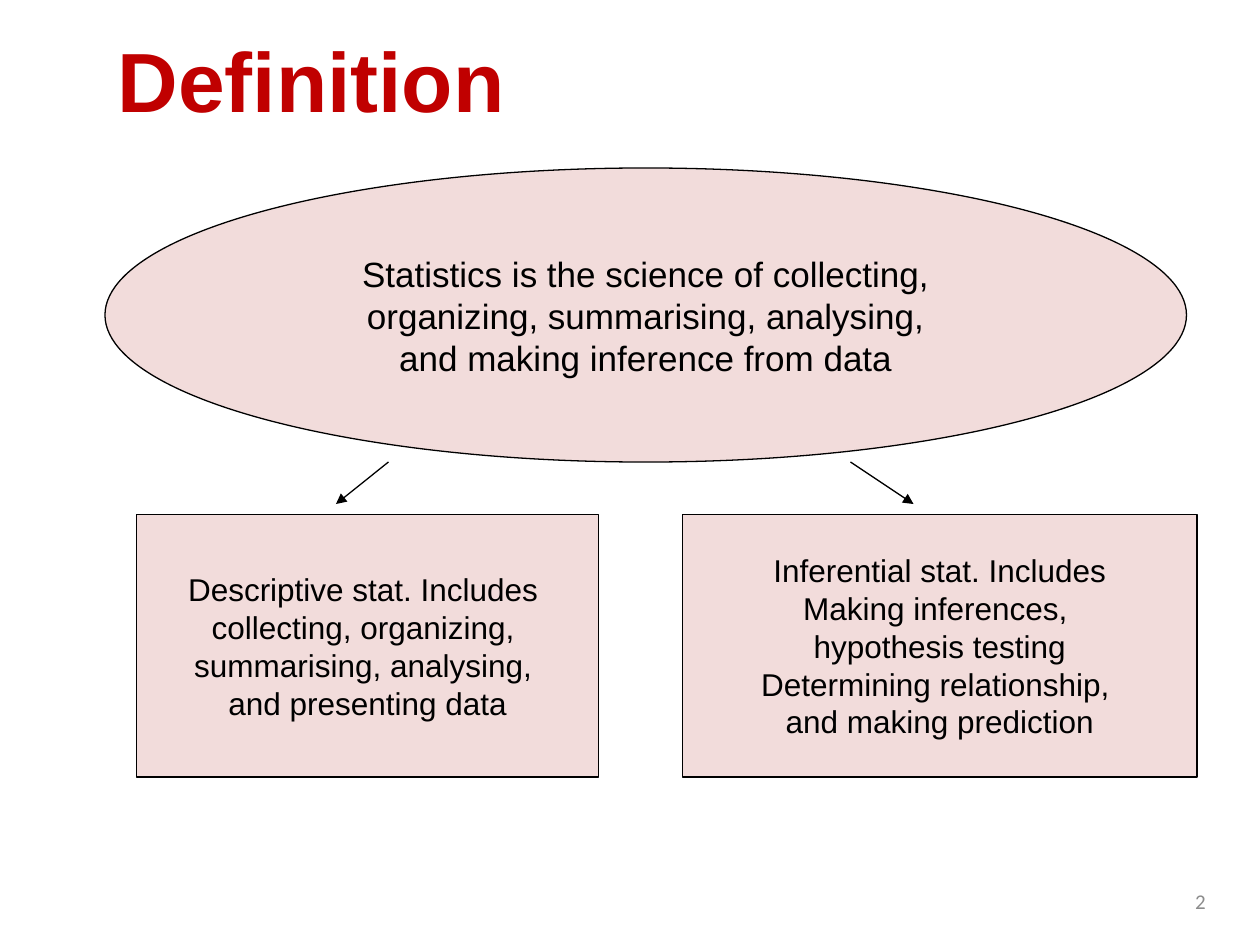
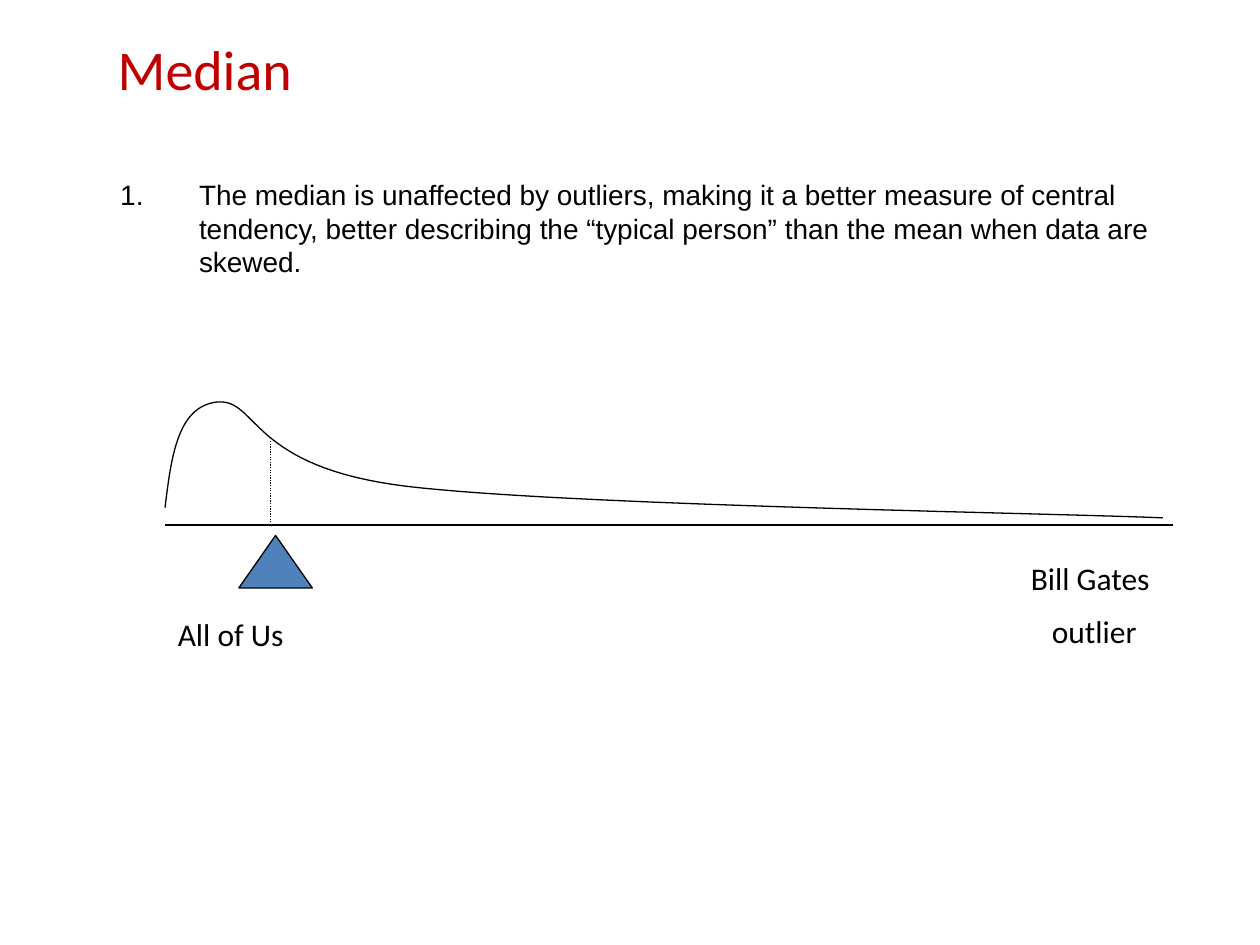
from dataclasses import dataclass

from lxml import etree
from pptx import Presentation
from pptx import util as u
from pptx.dml.color import RGBColor
from pptx.enum import dml, shapes, text
from pptx.oxml import ns

RED = RGBColor(0xC0, 0x00, 0x00)
PINK = RGBColor(0xF2, 0xDC, 0xDB)
BLUE = RGBColor(0x4F, 0x81, 0xBD)
BLACK = RGBColor(0x00, 0x00, 0x00)
GREY = RGBColor(0x8C, 0x8C, 0x8C)
SANS, HUMANIST = "Arial", "Calibri"
LEFT, CENTER = text.PP_ALIGN.LEFT, text.PP_ALIGN.CENTER
OUTLINE = u.Pt(0.75)

COLUMNS, ROWS = 120, 90
SLIDE_WIDTH, SLIDE_HEIGHT = u.Inches(10), u.Inches(7.5)
CELL = SLIDE_WIDTH // COLUMNS


@dataclass(frozen=True)
class Area:
    column: float
    row: float
    columns: float
    rows: float

    def emu(self) -> list[int]:
        return [cells(n) for n in (self.column, self.row, self.columns, self.rows)]


@dataclass(frozen=True)
class Style:
    font: str
    size: float
    color: RGBColor = BLACK
    align: text.PP_ALIGN = LEFT
    bold: bool = False
    gap: float = 0


@dataclass(frozen=True)
class Concept:
    outline: shapes.MSO_SHAPE
    area: Area
    size: float
    lines: tuple[str, ...]


@dataclass(frozen=True)
class Rule:
    start: tuple[float, float]
    end: tuple[float, float]
    arrow: bool = False
    dotted: bool = False


CONCEPTS = (
    Concept(shapes.MSO_SHAPE.OVAL, Area(10, 16, 103, 28), 20, (
        "Statistics is the science of collecting,",
        " organizing, summarising, analysing, ",
        "and making inference from data")),
    Concept(shapes.MSO_SHAPE.RECTANGLE, Area(13, 49, 44, 25), 18, (
        "Descriptive stat. Includes ",
        "collecting, organizing, ",
        "summarising, analysing, ",
        "and presenting data")),
    Concept(shapes.MSO_SHAPE.RECTANGLE, Area(65, 49, 49, 25), 18, (
        "Inferential stat. Includes",
        "Making inferences, ",
        "hypothesis testing",
        "Determining relationship, ",
        "and making prediction")),
)
BRANCHES = (
    Rule((37, 44), (32, 48), arrow=True),
    Rule((81, 44), (87, 48), arrow=True),
)
AXIS = Rule((15.75, 50), (111.75, 50))
MEDIAN_MARK = Rule((25.75, 50), (25.75, 42), dotted=True)
CURVE_START = (1.31, 4.03)
CURVE_BENDS = (
    ((1.36, 3.62), (1.41, 3.22), (1.73, 3.19)),
    ((2.05, 3.17), (1.98, 3.71), (3.23, 3.86)),
    ((4.48, 4.01), (8.23, 4.07), (9.23, 4.11)),
)
BEND_STEPS = 32
LABEL = Style(HUMANIST, 18, gap=9)


def cells(count: float) -> int:
    return round(count * CELL)


def write(frame, lines: tuple[str, ...], style: Style) -> None:
    frame.text = "\n".join(lines)
    for index, paragraph in enumerate(frame.paragraphs):
        paragraph.alignment = style.align
        paragraph.space_before = u.Pt(style.gap if index else 0)
        font = paragraph.font
        font.name, font.size, font.bold = style.font, u.Pt(style.size), style.bold
        font.color.rgb = style.color


def place(part, area: Area) -> None:
    part.left, part.top, part.width, part.height = area.emu()


def set_title(slide, wording: str, area: Area, style: Style) -> None:
    place(slide.shapes.title, area)
    frame = slide.shapes.title.text_frame
    frame.auto_size = text.MSO_AUTO_SIZE.NONE
    frame.vertical_anchor = text.MSO_ANCHOR.MIDDLE
    write(frame, (wording,), style)


def add_label(slide, area: Area, lines: tuple[str, ...], style: Style):
    frame = slide.shapes.add_textbox(*area.emu()).text_frame
    frame.word_wrap = True
    write(frame, lines, style)
    return frame


def outline(part) -> None:
    part.line.color.rgb = BLACK
    part.line.width = OUTLINE


def add_filled(slide, kind: shapes.MSO_SHAPE, area: Area, color: RGBColor):
    part = slide.shapes.add_shape(kind, *area.emu())
    part.shadow.inherit = False
    part.fill.solid()
    part.fill.fore_color.rgb = color
    outline(part)
    return part


def add_concept(slide, concept: Concept) -> None:
    frame = add_filled(slide, concept.outline, concept.area, PINK).text_frame
    frame.word_wrap = False
    frame.vertical_anchor = text.MSO_ANCHOR.MIDDLE
    write(frame, concept.lines, Style(SANS, concept.size, align=CENTER))


def add_rule(slide, rule: Rule) -> None:
    ends = [cells(n) for n in (*rule.start, *rule.end)]
    line = slide.shapes.add_connector(shapes.MSO_CONNECTOR.STRAIGHT, *ends)
    outline(line)
    if rule.dotted:
        line.line.dash_style = dml.MSO_LINE.ROUND_DOT
    if rule.arrow:
        etree.SubElement(line.line._get_or_add_ln(), ns.qn("a:tailEnd"), type="triangle")
    etree.SubElement(line._element.spPr, ns.qn("a:effectLst"))


def curve_points() -> list[tuple[int, int]]:
    points, start = [], CURVE_START
    for bend in CURVE_BENDS:
        for step in range(1, BEND_STEPS + 1):
            t = step / BEND_STEPS
            weights = ((1 - t) ** 3, 3 * t * (1 - t) ** 2, 3 * t * t * (1 - t), t ** 3)
            x, y = (sum(w * p[axis] for w, p in zip(weights, (start, *bend)))
                    for axis in (0, 1))
            points.append((u.Inches(x), u.Inches(y)))
        start = bend[-1]
    return points


def add_curve(slide) -> None:
    builder = slide.shapes.build_freeform(*(u.Inches(n) for n in CURVE_START))
    builder.add_line_segments(curve_points(), close=False)
    distribution = builder.convert_to_shape()
    distribution.shadow.inherit = False
    distribution.fill.background()
    outline(distribution)


def number_list(frame, hanging: int) -> None:
    for paragraph in frame.paragraphs:
        properties = paragraph._p.get_or_add_pPr()
        properties.set("marL", str(hanging))
        properties.set("indent", str(-hanging))
        etree.SubElement(properties, ns.qn("a:buFont"), typeface="+mj-lt")
        etree.SubElement(properties, ns.qn("a:buAutoNum"), type="arabicPeriod")
        default_font = properties.find(ns.qn("a:defRPr"))
        if default_font is not None:
            properties.append(default_font)


def build_definition(deck) -> None:
    slide = deck.slides.add_slide(deck.slide_layouts[5])
    set_title(slide, "Definition", Area(10, 0, 102, 15), Style(SANS, 48, RED, bold=True))
    page = add_label(slide, Area(88, 83.4, 28, 4.8), ("2",),
                     Style(HUMANIST, 12, GREY, text.PP_ALIGN.RIGHT))
    page.vertical_anchor = text.MSO_ANCHOR.MIDDLE
    for concept in CONCEPTS:
        add_concept(slide, concept)
    for branch in BRANCHES:
        add_rule(slide, branch)


def build_median(deck) -> None:
    slide = deck.slides.add_slide(deck.slide_layouts[1])
    set_title(slide, "Median", Area(10, 2, 105, 9), Style(HUMANIST, 32, RED))
    body = slide.placeholders[1]
    place(body, Area(10.25, 16.3, 106, 66))
    body.text_frame.auto_size = text.MSO_AUTO_SIZE.NONE
    write(body.text_frame, (
        "The median is unaffected by outliers, making it a better measure of "
        "central tendency, better describing the “typical person” than the mean "
        "when data are skewed.",), Style(SANS, 16))
    number_list(body.text_frame, cells(7.5))
    add_curve(slide)
    add_rule(slide, AXIS)
    add_filled(slide, shapes.MSO_SHAPE.ISOSCELES_TRIANGLE, Area(22.75, 51, 7, 5), BLUE)
    add_label(slide, Area(15.75, 58, 21, 4.8), ("All of Us",), LABEL)
    outlier = add_label(slide, Area(97, 52.6, 18, 10.2), ("Bill Gates", "outlier"), LABEL)
    outlier.paragraphs[1]._p.get_or_add_pPr().set("marL", str(cells(2)))
    add_rule(slide, MEDIAN_MARK)


def main() -> None:
    deck = Presentation()
    deck.slide_width, deck.slide_height = SLIDE_WIDTH, SLIDE_HEIGHT
    build_definition(deck)
    build_median(deck)
    deck.save("out.pptx")


if __name__ == "__main__":
    main()
